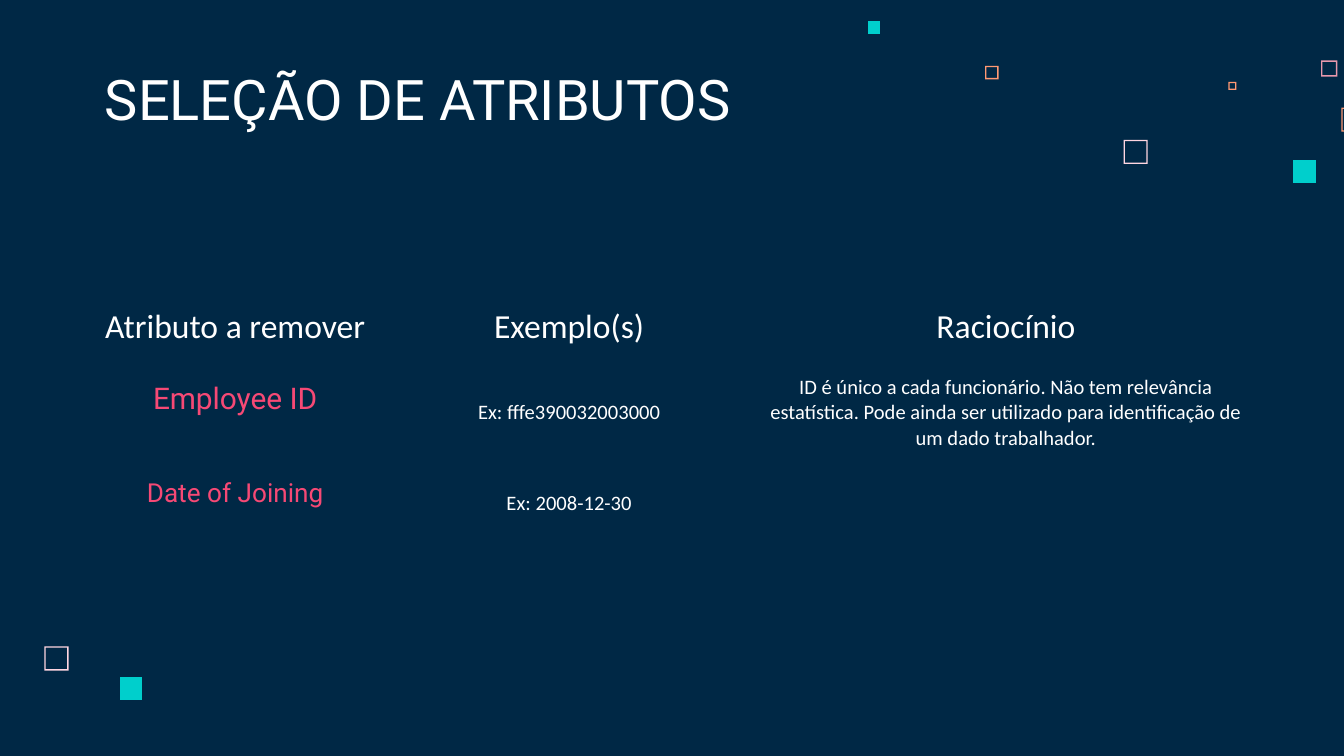
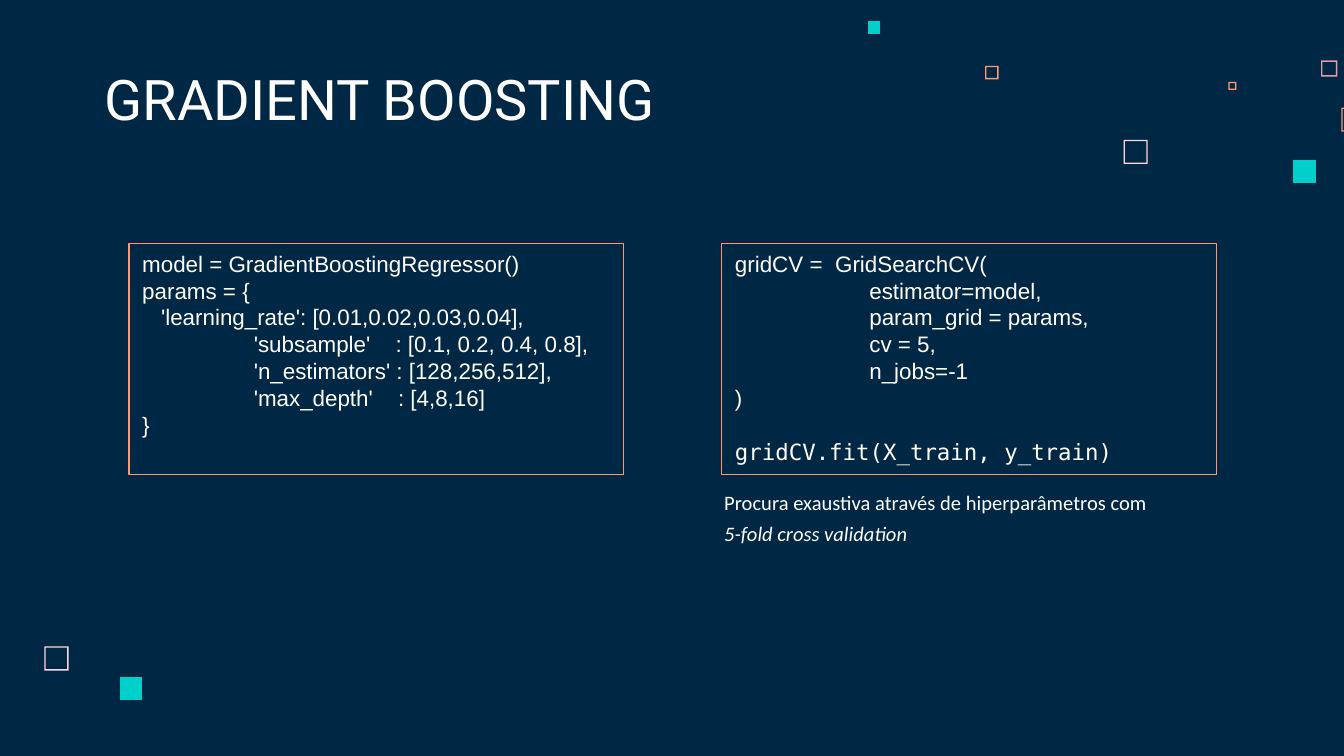
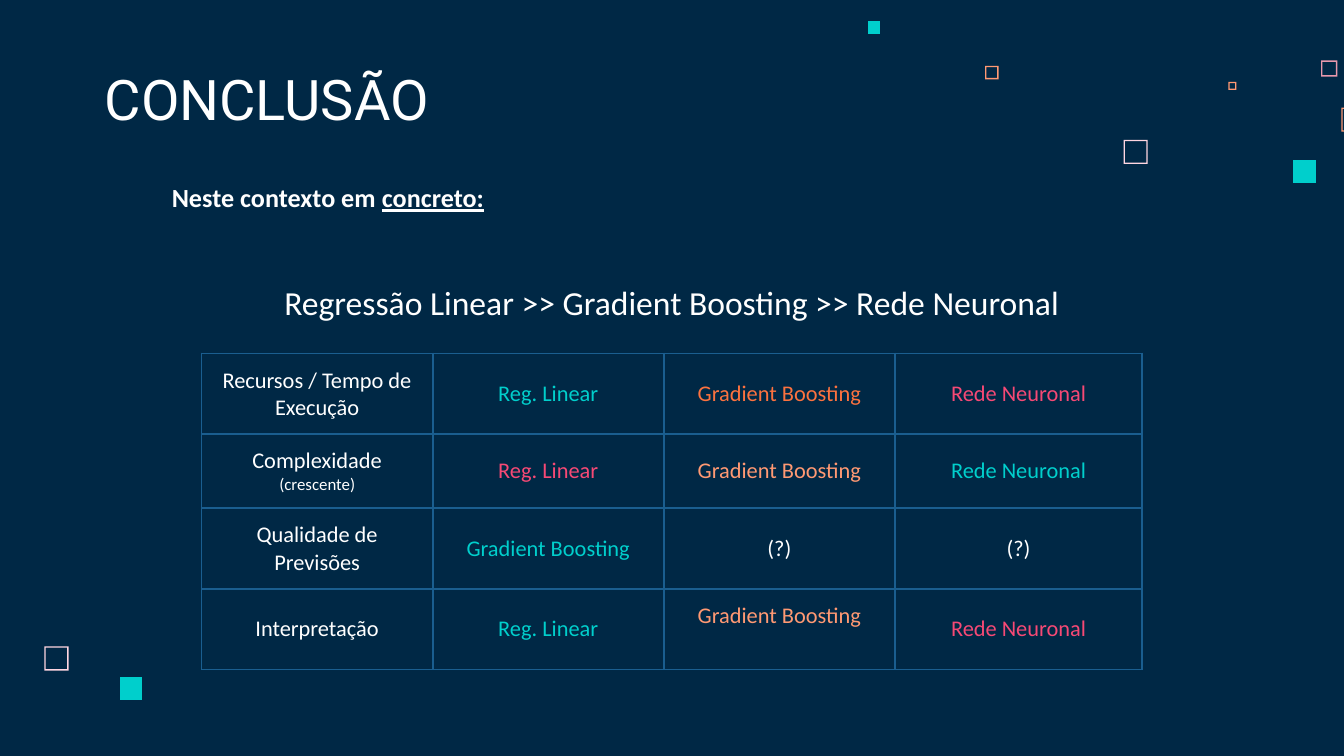
from lxml import etree
from pptx import Presentation
from pptx import util as u
from pptx.dml.color import RGBColor
from pptx.enum import shapes, text
from pptx.oxml.ns import qn

COLORS = {
    "navy": "002845",
    "white": "FFFFFF",
    "cyan": "00CFCC",
    "pink": "F64975",
    "blush": "FFD6E1",
    "rose": "E898AC",
    "peach": "FF9973",
    "orange": "FC723F",
    "blue": "1A5E8F",
}
BODY_FONT, TITLE_FONT, CODE_FONT, MONO_FONT = "Calibri", "Roboto", "Arial", "DejaVu Sans Mono"
CENTER = text.PP_ALIGN.CENTER

SOLID_SQUARES = [
    (9.62, 1.19, 0.17, "cyan"),
    (6.46, 0.16, 0.09, "cyan"),
    (0.89, 5.04, 0.17, "cyan"),
]
HOLLOW_SQUARES = [
    (8.36, 1.04, 0.18, "blush"),
    (9.83, 0.45, 0.12, "rose"),
    (9.14, 0.61, 0.06, "peach"),
    (9.98, 0.8, 0.18, "peach"),
    (7.33, 0.49, 0.1, "peach"),
    (0.33, 4.81, 0.18, "blush"),
]


def rgb(name):
    """Return the named colour."""
    return RGBColor.from_string(COLORS[name])


def inches(*lengths):
    """Turn numbers into lengths in inches."""
    return [u.Inches(length) for length in lengths]


def write(frame, content, size=12, font=BODY_FONT, color="white", bold=False, italic=False,
          underline=False, align=text.PP_ALIGN.LEFT, before=0, spacing=None, indent=0, gap=0,
          same_line=False):
    """Add a formatted paragraph, or a run to the last paragraph."""
    paragraph = frame.paragraphs[-1]
    if paragraph.runs and not same_line:
        paragraph = frame.add_paragraph()
    run = paragraph.add_run()
    run.text = content
    run.font.size, run.font.name = u.Pt(size), font
    run.font.bold, run.font.italic, run.font.underline = bold, italic, underline
    run.font.color.rgb = rgb(color)
    if gap:
        run._r.get_or_add_rPr().set("spc", str(round(gap * 100)))
    if same_line:
        return
    paragraph.alignment = align
    paragraph.space_before = u.Pt(before)
    if spacing:
        paragraph.line_spacing = u.Pt(spacing)
    properties = paragraph._p.get_or_add_pPr()
    properties.set("marL", str(u.Inches(indent)))
    properties.set("indent", "0")


def add_square(slide, left, top, size, color, border=0):
    """Draw a square outline, hollow when it has a border."""
    def corners(inset):
        near_x, near_y = inches(left + inset, top + inset)
        far_x, far_y = inches(left + size - inset, top + size - inset)
        return [(near_x, near_y), (near_x, far_y), (far_x, far_y), (far_x, near_y)]

    outer = corners(0)
    builder = slide.shapes.build_freeform(*outer[0])
    builder.add_line_segments(outer[1:])
    if border:
        inner = corners(border)
        builder.move_to(*inner[0])
        builder.add_line_segments(inner[1:])
    shape = builder.convert_to_shape()
    shape.shadow.inherit = False
    shape.fill.solid()
    shape.fill.fore_color.rgb = rgb(color)
    shape.line.fill.background()
    return shape


def decorate_layout(layout, slide):
    """Give the layout its background and scattered squares."""
    layout.background.fill.solid()
    layout.background.fill.fore_color.rgb = rgb("navy")
    squares = [add_square(slide, *square) for square in SOLID_SQUARES]
    squares += [add_square(slide, *square, border=0.01) for square in HOLLOW_SQUARES]
    for square in squares:
        layout.shapes.element.append(square.element)


def add_title(slide, content, width=6.44):
    """Place and fill the title."""
    title = slide.shapes.title
    title.left, title.top, title.width, title.height = inches(0.68, 0.45, width, 0.63)
    frame = title.text_frame
    frame.auto_size = text.MSO_AUTO_SIZE.NONE
    frame.vertical_anchor = text.MSO_ANCHOR.BOTTOM
    frame.margin_left = frame.margin_right = frame.margin_top = frame.margin_bottom = u.Inches(0.1)
    write(frame, content, size=30, font=TITLE_FONT)


def add_text_box(slide, box):
    """Add a wrapping text box and return its frame."""
    frame = slide.shapes.add_textbox(*inches(*box)).text_frame
    frame.word_wrap = True
    return frame


def set_borders(cell, color):
    """Set all four borders of a cell, or clear them."""
    properties = cell._tc.get_or_add_tcPr()
    for index, side in enumerate(("lnL", "lnR", "lnT", "lnB")):
        line = etree.Element(qn(f"a:{side}"), w=str(u.Pt(1)))
        properties.insert(index, line)
        if color:
            fill = etree.SubElement(line, qn("a:solidFill"))
            etree.SubElement(fill, qn("a:srgbClr"), val=COLORS[color])
        else:
            etree.SubElement(line, qn("a:noFill"))


def add_grid(slide, box, widths, heights, rows, border=None):
    """Add a table of cells, each a list of (text, format) lines."""
    table = slide.shapes.add_table(len(rows), len(widths), *inches(*box)).table
    table.first_row = table.horz_banding = False
    for column, width in zip(table.columns, widths):
        column.width = u.Inches(width)
    for row, height, contents in zip(table.rows, heights, rows):
        row.height = u.Inches(height)
        for cell, lines in zip(row.cells, contents):
            cell.fill.background()
            set_borders(cell, border)
            cell.vertical_anchor = text.MSO_ANCHOR.MIDDLE
            cell.margin_left = cell.margin_right = u.Inches(0.1)
            cell.margin_top = cell.margin_bottom = u.Inches(0.1)
            for content, style in lines:
                write(cell.text_frame, content, align=CENTER, **style)
    return table


def add_code(slide, box, lines):
    """Add an outlined code box of (text, format) pieces."""
    shape = slide.shapes.add_shape(shapes.MSO_SHAPE.RECTANGLE, *inches(*box))
    shape.shadow.inherit = False
    shape.fill.background()
    shape.line.color.rgb = rgb("peach")
    shape.line.width = u.Pt(0.75)
    frame = shape.text_frame
    frame.word_wrap = True
    frame.vertical_anchor = text.MSO_ANCHOR.TOP
    for content, style in lines:
        write(frame, content, **{"font": CODE_FONT, "spacing": 14.4, **style})


def cell(content, **style):
    """Describe a cell of one line."""
    return [(content, style)]


def spaced(start, end, gap, **style):
    """Describe a code line whose two parts stand apart by a widened space."""
    return [(start, style), (" ", {"same_line": True, "gap": gap}), (end, {"same_line": True})]


def fill_attributes(slide):
    """Build the slide on removed attributes."""
    add_title(slide, "SELEÇÃO DE ATRIBUTOS")
    small = {"size": 11}
    label = {"font": TITLE_FONT, "color": "pink"}
    reason = ("ID é único a cada funcionário. Não tem relevância estatística. "
              "Pode ainda ser utilizado para identificação de um dado trabalhador.")
    rows = [
        [cell(head, size=18) for head in ("Atributo a remover", "Exemplo(s)", "Raciocínio")],
        [cell("Employee ID", size=16, **label), cell("Ex: fffe390032003000", **small),
         cell(reason, **small)],
        [cell("Date of Joining", size=14, **label), cell("Ex: 2008-12-30", **small), []],
    ]
    table = add_grid(slide, (0.55, 2.18, 8.9, 1.85), (2.4, 2.57, 3.93), (0.5, 0.77, 0.58), rows)
    table.cell(1, 0).margin_bottom = u.Inches(0.3)
    table.cell(2, 0).margin_bottom = u.Inches(0.25)


def fill_boosting(slide):
    """Build the slide with the two code boxes."""
    add_title(slide, "GRADIENT BOOSTING", width=5.17)
    parameter = {"indent": 0.83}
    argument = {"indent": 1}
    model_lines = [
        ("model = GradientBoostingRegressor()", {}),
        ("params = {", {}),
        ("'learning_rate': [0.01,0.02,0.03,0.04],", {"indent": 0.14}),
        *spaced("'subsample'", ": [0.1, 0.2, 0.4, 0.8],", 10, **parameter),
        ("'n_estimators' : [128,256,512],", parameter),
        *spaced("'max_depth'", ": [4,8,16]", 10, **parameter),
        ("}", {}),
    ]
    search_lines = [
        *spaced("gridCV =", "GridSearchCV(", 3.3),
        ("estimator=model,", argument),
        ("param_grid = params,", argument),
        ("cv = 5,", argument),
        ("n_jobs=-1", argument),
        (")", {}),
        ("gridCV.fit(X_train, y_train)", {"font": MONO_FONT, "before": 14.4}),
    ]
    for left, lines in ((0.96, model_lines), (5.37, search_lines)):
        add_code(slide, (left, 1.81, 3.68, 1.72), lines)
    caption = add_text_box(slide, (5.29, 3.6, 4.11, 0.52))
    write(caption, "Procura exaustiva através de hiperparâmetros com", size=11)
    write(caption, "5-fold cross validation", size=11, italic=True, before=3)


def fill_conclusion(slide):
    """Build the slide comparing the models."""
    add_title(slide, "CONCLUSÃO")
    context = add_text_box(slide, (1.18, 1.3, 6.34, 0.34))
    write(context, "Neste contexto em ", size=14, bold=True)
    write(context, "concreto:", size=14, bold=True, underline=True, same_line=True)
    ranking = add_text_box(slide, (1.43, 2.05, 7.14, 0.4))
    write(ranking, "Regressão Linear >> Gradient Boosting >> Rede Neuronal", size=18, align=CENTER)

    linear, boosting, network = "Reg. Linear", "Gradient Boosting", "Rede Neuronal"
    rows = [
        [cell("Recursos / Tempo de Execução"), cell(linear, color="cyan"),
         cell(boosting, color="orange"), cell(network, color="pink")],
        [[("Complexidade", {}), ("(crescente)", {"size": 9})], cell(linear, color="pink"),
         cell(boosting, color="peach"), cell(network, color="cyan")],
        [cell("Qualidade de Previsões"), cell(boosting, color="cyan"), cell("(?)"), cell("(?)")],
        [cell("Interpretação"), cell(linear, color="cyan"),
         cell(boosting, color="peach"), cell(network, color="pink")],
    ]
    table = add_grid(slide, (1.5, 2.63, 7, 2.35), (1.72, 1.72, 1.72, 1.84),
                     (0.6, 0.55, 0.6, 0.6), rows, border="blue")
    table.cell(3, 2).margin_bottom = u.Inches(0.3)


def main():
    """Build and save the presentation."""
    presentation = Presentation()
    presentation.slide_width = u.Inches(10)
    presentation.slide_height = u.Inches(10) * 9 // 16
    layout = presentation.slide_layouts[5]
    slides = [presentation.slides.add_slide(layout) for _ in range(3)]
    decorate_layout(layout, slides[0])
    for fill, slide in zip((fill_attributes, fill_boosting, fill_conclusion), slides):
        fill(slide)
    presentation.save("out.pptx")


if __name__ == "__main__":
    main()
